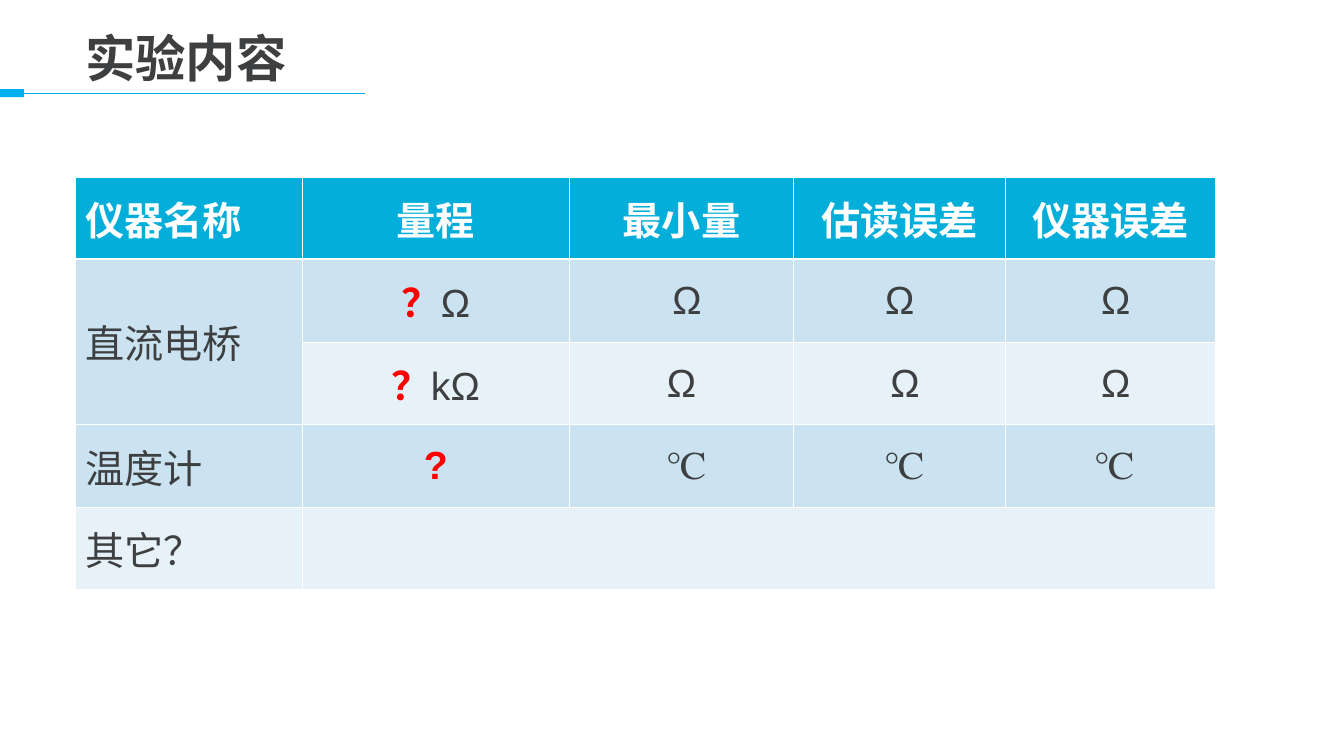
from dataclasses import dataclass
from typing import Any, NamedTuple

import lxml.etree
import pptx
import pptx.dml.color
import pptx.enum.shapes
import pptx.enum.text
import pptx.oxml.ns
import pptx.util

EMU_PER_PIXEL = 9080


@dataclass(frozen=True)
class Theme:
    ink: str = "3D3F41"
    accent: str = "00B0F0"
    header: str = "04AEDA"
    dark_band: str = "CBE3F1"
    light_band: str = "E7F2F8"
    white: str = "FFFFFF"
    question: str = "FF0000"
    latin: str = "Arial"
    chinese: str = "Noto Sans CJK SC"
    serif: str = "Times New Roman"
    title_size: int = 36
    table_size: int = 28
    thin: float = 0.45
    thick: float = 1.47
    rule: float = 0.74


THEME = Theme()


class Span(NamedTuple):
    text: str
    color: str = THEME.ink
    bold: bool = False
    latin: str = THEME.latin
    chinese: str = THEME.chinese
    size: int = THEME.table_size


class Box(NamedTuple):
    left: int
    top: int
    width: int
    height: int

    def emu(self) -> list[int]:
        return [pixels(length) for length in self]


class Row(NamedTuple):
    fill: str
    cells: list[list[Span]]


def pixels(length: int) -> pptx.util.Emu:
    return pptx.util.Emu(length * EMU_PER_PIXEL)


def rgb(color: str) -> pptx.dml.color.RGBColor:
    return pptx.dml.color.RGBColor.from_string(color)


def heading(text: str) -> list[Span]:
    return [Span(text, THEME.white, True)]


def question(text: str) -> Span:
    return Span(text, THEME.question, True)


def celsius() -> list[Span]:
    return [Span(" "), Span("℃", latin=THEME.serif, chinese=THEME.serif)]


def write_spans(frame: Any, spans: list[Span], alignment: Any) -> None:
    para = frame.paragraphs[0]
    para.alignment = alignment
    for span in spans:
        run = para.add_run()
        run.text = span.text
        run.font.size = pptx.util.Pt(span.size)
        run.font.bold = span.bold
        run.font.color.rgb = rgb(span.color)
        run.font.name = span.latin
        east_asian = lxml.etree.Element(pptx.oxml.ns.qn("a:ea"), typeface=span.chinese)
        run.font._element.find(pptx.oxml.ns.qn("a:latin")).addnext(east_asian)


def set_borders(cell: Any, top: float, bottom: float) -> None:
    properties = cell._tc.get_or_add_tcPr()
    widths = {"lnL": THEME.thin, "lnR": THEME.thin, "lnT": top, "lnB": bottom}
    for index, (side, width) in enumerate(widths.items()):
        line = lxml.etree.Element(pptx.oxml.ns.qn(f"a:{side}"), w=str(pptx.util.Pt(width)))
        fill = lxml.etree.SubElement(line, pptx.oxml.ns.qn("a:solidFill"))
        lxml.etree.SubElement(fill, pptx.oxml.ns.qn("a:srgbClr"), val=THEME.white)
        properties.insert(index, line)


def add_title(page: Any, text: str, box: Box) -> None:
    title = page.shapes.title
    title.left, title.top, title.width, title.height = box.emu()
    title.text_frame.vertical_anchor = pptx.enum.text.MSO_ANCHOR.MIDDLE
    span = Span(text, bold=True, latin=THEME.chinese, size=THEME.title_size)
    write_spans(title.text_frame, [span], pptx.enum.text.PP_ALIGN.LEFT)


def add_title_rule(page: Any, block: Box, right: int, middle: int) -> None:
    rule = page.shapes.add_connector(
        pptx.enum.shapes.MSO_CONNECTOR.STRAIGHT,
        pixels(right), pixels(middle), pixels(block.width), pixels(middle),
    )
    rule.line.color.rgb = rgb(THEME.accent)
    rule.line.width = pptx.util.Pt(THEME.rule)
    lxml.etree.SubElement(rule._element.spPr, pptx.oxml.ns.qn("a:effectLst"))
    marker = page.shapes.add_shape(pptx.enum.shapes.MSO_SHAPE.RECTANGLE, *block.emu())
    marker.shadow.inherit = False
    marker.fill.solid()
    marker.fill.fore_color.rgb = rgb(THEME.accent)
    marker.line.fill.background()


def add_instrument_table(page: Any, box: Box, widths: list[int], rows: list[Row]) -> None:
    table = page.shapes.add_table(len(rows), len(widths), *box.emu()).table
    for column, width in zip(table.columns, widths):
        column.width = pixels(width)
    edges = [round(box.height * index / len(rows)) for index in range(len(rows) + 1)]
    for row_index, row in enumerate(rows):
        table.rows[row_index].height = pixels(edges[row_index + 1] - edges[row_index])
        top = THEME.thick if row_index == 1 else THEME.thin
        bottom = THEME.thick if row_index == 0 else THEME.thin
        for column_index, spans in enumerate(row.cells):
            cell = table.cell(row_index, column_index)
            cell.fill.solid()
            cell.fill.fore_color.rgb = rgb(row.fill)
            cell.vertical_anchor = pptx.enum.text.MSO_ANCHOR.MIDDLE
            set_borders(cell, top, bottom)
            alignment = pptx.enum.text.PP_ALIGN
            write_spans(cell.text_frame, spans, alignment.CENTER if column_index else alignment.LEFT)
    table.cell(1, 0).merge(table.cell(2, 0))
    table.cell(4, 1).merge(table.cell(4, 4))


INSTRUMENT_ROWS = [
    Row(THEME.header, [heading(text) for text in ("仪器名称", "量程", "最小量", "估读误差", "仪器误差")]),
    Row(THEME.dark_band, [
        [Span("直流电桥")], [question("？"), Span("Ω")], [Span(" Ω")], [Span("Ω")], [Span(" Ω")],
    ]),
    Row(THEME.light_band, [
        [], [question("？"), Span("kΩ")], [Span("Ω")], [Span(" Ω")], [Span(" Ω")],
    ]),
    Row(THEME.dark_band, [[Span("温度计")], [question("?")], celsius(), celsius(), celsius()]),
    Row(THEME.light_band, [[Span("其它？")], [], [], [], []]),
]


def main() -> None:
    deck = pptx.Presentation()
    deck.slide_width, deck.slide_height = pixels(1343), pixels(755)
    page = deck.slides.add_slide(deck.slide_layouts[5])
    add_title_rule(page, Box(0, 89, 24, 8), right=365, middle=93)
    add_title(page, "实验内容", Box(75, 22, 446, 71))
    add_instrument_table(page, Box(75, 177, 1139, 412), [227, 267, 224, 212, 209], INSTRUMENT_ROWS)
    deck.save("out.pptx")


main()
